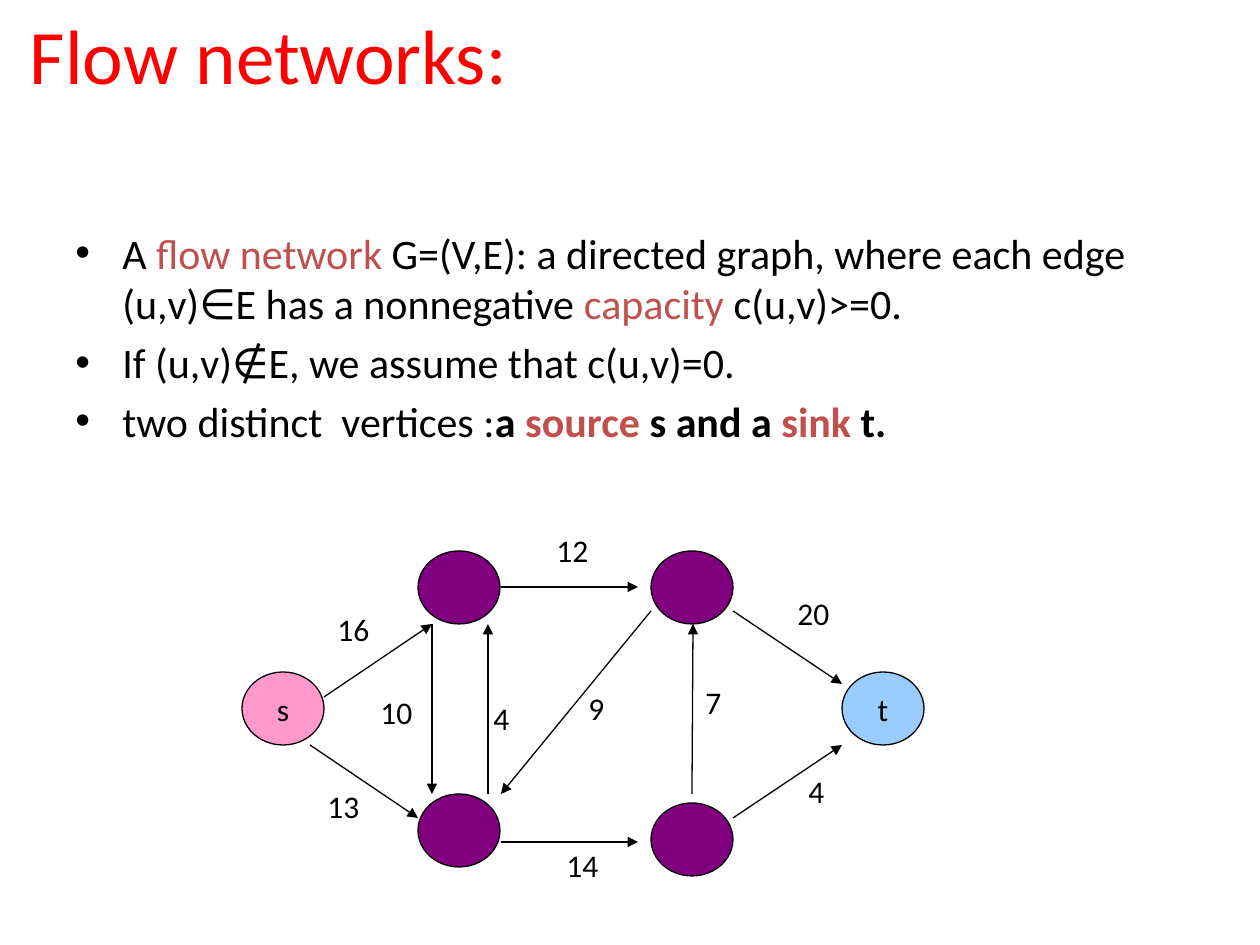
from lxml import etree
from pptx import Presentation
from pptx.dml.color import RGBColor
from pptx.enum.shapes import MSO_CONNECTOR, MSO_SHAPE
from pptx.enum.text import MSO_ANCHOR, PP_ALIGN
from pptx.oxml.ns import qn
from pptx.util import Pt

PX = 914400 / 126  # EMU per pixel
THEME = {
    "font": "Calibri", "title": 44, "body": 24, "label": 18, "line": 0.75,
    "red": "FF0000", "accent": "C0504D", "black": "000000",
    "source": "FF99CC", "inner": "800080", "sink": "99CCFF",
}


def px(*values):
    return [round(v * PX) for v in values]


def add_run(p, text, size, color="black", bold=False):
    r = p.add_run()
    r.text = text
    fmt = {"name": THEME["font"], "size": Pt(THEME[size]), "bold": bold}
    for key, value in fmt.items():
        setattr(r.font, key, value)
    r.font.color.rgb = RGBColor.from_string(THEME[color])


prs = Presentation()
prs.slide_width, prs.slide_height = px(1260, 945)
s = prs.slides.add_slide(prs.slide_layouts[6])

# Title
tf = s.shapes.add_textbox(*px(0, -25, 1134, 158)).text_frame
for key, value in {"word_wrap": True, "vertical_anchor": MSO_ANCHOR.MIDDLE,
                   "margin_left": px(30)[0]}.items():
    setattr(tf, key, value)
add_run(tf.paragraphs[0], "Flow networks:", "title", "red")

# Bulleted definitions: (text, colour, bold)
bullets = [
    [("A ", "black", False), ("flow network", "accent", False),
     (" G=(V,E): a directed graph, where each edge (u,v)∈E has a nonnegative ", "black", False),
     ("capacity", "accent", False), (" c(u,v)>=0.", "black", False)],
    [("If (u,v)∉E, we assume that c(u,v)=0.", "black", False)],
    [("two distinct  vertices :", "black", False), ("a ", "black", True),
     ("source", "accent", True), (" s and a ", "black", True),
     ("sink", "accent", True), (" t.", "black", True)],
]
tf = s.shapes.add_textbox(*px(63, 221, 1134, 624)).text_frame
tf.word_wrap = True
indent = px(47)[0]
for i, runs in enumerate(bullets):
    p = tf.add_paragraph() if i else tf.paragraphs[0]
    pPr = p._p.get_or_add_pPr()
    pPr.set("marL", str(indent))
    pPr.set("indent", str(-indent))
    etree.SubElement(pPr, qn("a:buFont"), typeface="Arial")
    etree.SubElement(pPr, qn("a:buChar"), char="•")
    p.space_before = Pt(4.8 if i else 0)
    for text, color, bold in runs:
        add_run(p, text, "body", color, bold)

# Vertices: left, top, fill, name
vertices = [
    (242, 672, "source", "s"), (418, 794, "inner", ""), (651, 803, "inner", ""),
    (842, 672, "sink", "t"), (651, 551, "inner", ""), (418, 551, "inner", ""),
]
for x, y, fill, name in vertices:
    sp = s.shapes.add_shape(MSO_SHAPE.OVAL, *px(x, y, 82, 73))
    sp.shadow.inherit = False
    sp.fill.solid()
    sp.fill.fore_color.rgb = RGBColor.from_string(THEME[fill])
    sp.line.color.rgb = RGBColor.from_string(THEME["black"])
    sp.line.width = Pt(THEME["line"])
    if name:
        tf = sp.text_frame
        tf.word_wrap = False
        tf.vertical_anchor = MSO_ANCHOR.MIDDLE
        p = tf.paragraphs[0]
        p.alignment = PP_ALIGN.CENTER
        add_run(p, name, "label")

# Edges: start, end, capacity, label corner
edges = [
    (324, 697, 432, 624, "16", 325, 604), (310, 745, 418, 818, "13", 315, 781),
    (432, 624, 432, 794, "10", 368, 687), (488, 794, 488, 624, "4", 481, 693),
    (501, 587, 638, 587, "12", 544, 525), (501, 842, 638, 842, "14", 554, 840),
    (733, 611, 842, 684, "20", 785, 588), (733, 818, 842, 745, "4", 796, 766),
    (692, 794, 693, 624, "7", 693, 677), (651, 611, 501, 794, "9", 576, 683),
]
for x1, y1, x2, y2, capacity, x, y in edges:
    c = s.shapes.add_connector(MSO_CONNECTOR.STRAIGHT, *px(x1, y1, x2, y2))
    c.line.color.rgb = RGBColor.from_string(THEME["black"])
    c.line.width = Pt(THEME["line"])
    etree.SubElement(c.line._get_or_add_ln(), qn("a:tailEnd"), type="triangle")
    etree.SubElement(c._element.spPr, qn("a:effectLst"))
    tf = s.shapes.add_textbox(*px(x, y, 67 if len(capacity) > 1 else 47, 63)).text_frame
    tf.word_wrap = False
    add_run(tf.paragraphs[0], capacity, "label")

prs.save("out.pptx")
